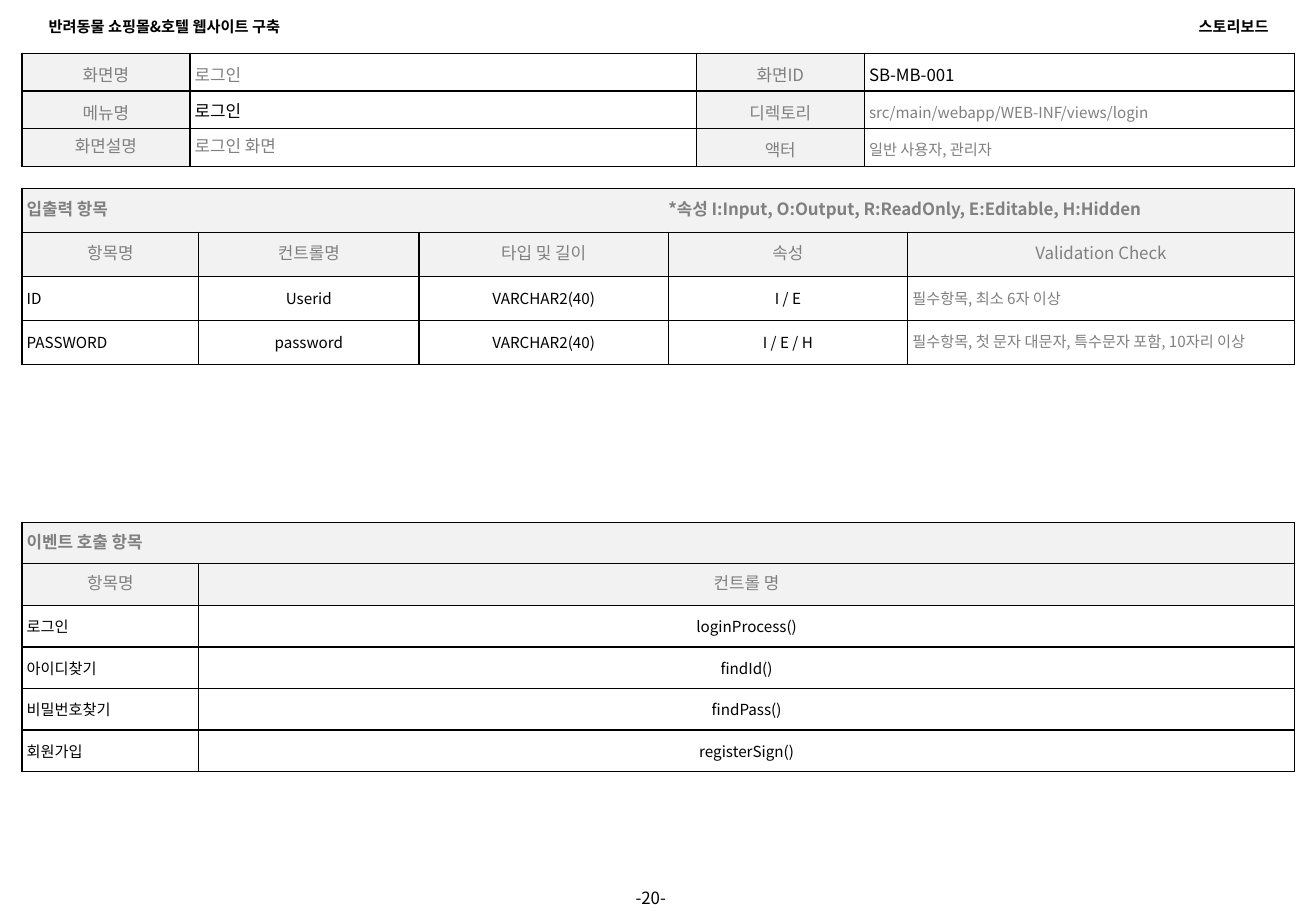
"""Build a storyboard slide for a login screen with its fields and events."""
from dataclasses import dataclass, replace
from typing import Optional, Union

from lxml import etree
from pptx import Presentation
from pptx import util as u
from pptx.dml.color import RGBColor
from pptx.enum import text
from pptx.oxml import ns

FONT = "Noto Sans CJK KR"
BLACK, GREY, PALE, WHITE = "000000", "808080", "F2F2F2", "FFFFFF"
LEFT, CENTER, RIGHT = text.PP_ALIGN.LEFT, text.PP_ALIGN.CENTER, text.PP_ALIGN.RIGHT
INSET = u.Inches(0.04)
ATTRIBUTE_TAB = u.Inches(5.28)

presentation = Presentation()
presentation.slide_width, presentation.slide_height = u.Inches(10.83), u.Inches(7.5)


@dataclass(frozen=True)
class Style:
    """Describe how one piece of text and its cell look."""
    size: float = 9
    color: str = BLACK
    bold: bool = False
    align: text.PP_ALIGN = LEFT
    fill: str = WHITE
    line_spacing: Union[float, u.Length, None] = None
    padding: Optional[float] = None


@dataclass(frozen=True)
class Cell:
    """Pair a wording with its style."""
    wording: str
    style: Style


@dataclass(frozen=True)
class Grid:
    """Describe a table by its top and row height (shares of the slide) and column shares."""
    top: float
    row_height: float
    columns: tuple[float, ...]
    rows: list[list[Cell]]


@dataclass(frozen=True)
class Label:
    """Describe a free text by its box in shares of the slide."""
    wording: str
    style: Style
    box: tuple[float, float, float, float]
    inset: float


def across(share: float) -> u.Length:
    """Return a share of the slide width."""
    return u.Emu(round(presentation.slide_width * share))


def down(share: float) -> u.Length:
    """Return a share of the slide height."""
    return u.Emu(round(presentation.slide_height * share))


def paint(color_format, color: str) -> None:
    """Apply a hex colour."""
    color_format.rgb = RGBColor.from_string(color)


def write(paragraph, wording: str, style: Style) -> None:
    """Add one styled run to a paragraph."""
    paragraph.alignment = style.align
    paragraph.line_spacing = style.line_spacing
    if style.padding is not None:
        paragraph.space_before = paragraph.space_after = u.Pt(style.padding)
    run = paragraph.add_run()
    run.text = wording
    run.font.size, run.font.bold, run.font.name = u.Pt(style.size), style.bold, FONT
    paint(run.font.color, style.color)
    etree.SubElement(run.font._element, ns.qn("a:ea"), typeface=FONT)


def add_tab(paragraph, position: u.Length) -> None:
    """Give a paragraph one left tab stop."""
    tabs = etree.SubElement(paragraph._p.get_or_add_pPr(), ns.qn("a:tabLst"))
    etree.SubElement(tabs, ns.qn("a:tab"), pos=str(position), algn="l")


def outline(cell) -> None:
    """Draw a black border on the four sides of a cell."""
    properties = cell._tc.get_or_add_tcPr()
    for index, side in enumerate(("lnL", "lnR", "lnT", "lnB")):
        line = etree.Element(ns.qn(f"a:{side}"), w=str(u.Pt(1)))
        fill = etree.SubElement(line, ns.qn("a:solidFill"))
        etree.SubElement(fill, ns.qn("a:srgbClr"), val=BLACK)
        properties.insert(index, line)


def draw_grid(slide, grid: Grid) -> None:
    """Draw a table, merging every row that holds a single cell."""
    count, width = len(grid.rows), across(0.967)
    table = slide.shapes.add_table(
        count, len(grid.columns), across(0.0166), down(grid.top),
        width, down(grid.row_height * count)).table
    table.first_row = table.horz_banding = False
    for column, share in zip(table.columns, grid.columns):
        column.width = u.Emu(round(width * share / sum(grid.columns)))
    for row_index, row in enumerate(grid.rows):
        table.rows[row_index].height = down(grid.row_height)
        if len(row) == 1:
            table.cell(row_index, 0).merge(table.cell(row_index, len(grid.columns) - 1))
        for column_index in range(len(grid.columns)):
            cell = table.cell(row_index, column_index)
            content = row[min(column_index, len(row) - 1)]
            cell.fill.solid()
            paint(cell.fill.fore_color, content.style.fill)
            outline(cell)
            if cell.is_spanned:
                continue
            cell.margin_left = cell.margin_right = INSET
            cell.margin_top = cell.margin_bottom = INSET
            cell.vertical_anchor = text.MSO_ANCHOR.MIDDLE
            paragraph = cell.text_frame.paragraphs[0]
            write(paragraph, content.wording, content.style)
            if "\t" in content.wording:
                add_tab(paragraph, ATTRIBUTE_TAB)


def draw_label(shape, label: Label) -> None:
    """Place a text shape and write its label."""
    left, top, width, height = label.box
    shape.left, shape.top = across(left), down(top)
    shape.width, shape.height = across(width), down(height)
    frame = shape.text_frame
    frame.word_wrap, frame.auto_size = True, text.MSO_AUTO_SIZE.NONE
    frame.vertical_anchor = text.MSO_ANCHOR.MIDDLE
    frame.margin_left = frame.margin_right = u.Inches(label.inset)
    frame.margin_top = frame.margin_bottom = INSET
    write(frame.paragraphs[0], label.wording, label.style)


value = Style()
centered = replace(value, align=CENTER)
rule = replace(value, color=GREY, line_spacing=u.Pt(12))
heading = replace(rule, size=10, bold=True, fill=PALE)
header = replace(heading, bold=False, align=CENTER)
info_name = replace(header, line_spacing=1.15, padding=3)
info_text = replace(info_name, align=LEFT, fill=WHITE)
info_small = replace(info_text, size=9)

info = Grid(0.0587, 0.0338, (13.2, 39.8, 13.2, 33.8), [
    [Cell("화면명", info_name), Cell("로그인", info_text),
     Cell("화면ID", info_name), Cell("SB-MB-001", replace(info_text, color=BLACK))],
    [Cell("메뉴명", info_name), Cell("로그인", replace(value, size=10)),
     Cell("디렉토리", info_name), Cell("src/main/webapp/WEB-INF/views/login", info_small)],
    [Cell("화면설명", header), Cell("로그인 화면", replace(rule, size=10)),
     Cell("액터", info_name), Cell("일반 사용자, 관리자", info_small)],
])
field_names = ("항목명", "컨트롤명", "타입 및 길이", "속성", "Validation Check")
field_styles = (value, centered, centered, centered, rule)
field_values = (
    ("ID", "Userid", "VARCHAR2(40)", "I / E", "필수항목, 최소 6자 이상"),
    ("PASSWORD", "password", "VARCHAR2(40)", "I / E / H",
     "필수항목, 첫 문자 대문자, 특수문자 포함, 10자리 이상"),
)
fields = Grid(0.2067, 0.0483, (13.9, 17.3, 19.6, 18.8, 30.4), [
    [Cell("입출력 항목\t*속성 I:Input, O:Output, R:ReadOnly, E:Editable, H:Hidden", heading)],
    [Cell(name, header) for name in field_names],
    *[[Cell(*pair) for pair in zip(row, field_styles)] for row in field_values],
])
calls = {"로그인": "loginProcess()", "아이디찾기": "findId()",
         "비밀번호찾기": "findPass()", "회원가입": "registerSign()"}
events = Grid(0.5733, 0.0456, (13.9, 86.1), [
    [Cell("이벤트 호출 항목", heading)],
    [Cell("항목명", header), Cell("컨트롤 명", header)],
    *[[Cell(name, value), Cell(call, centered)] for name, call in calls.items()],
])

bold = replace(value, bold=True)
project = Label("반려동물 쇼핑몰&호텔 웹사이트 구축", bold, (0.0277, 0.012, 0.276, 0.0333), 0.1)
labels = (
    Label("스토리보드", replace(bold, align=RIGHT), (0.697, 0.012, 0.276, 0.0333), 0.1),
    Label("-20-", replace(centered, size=10), (0.458, 0.9747, 0.073, 0.0213), 0.04),
)

slide = presentation.slides.add_slide(presentation.slide_layouts[5])
draw_label(slide.shapes.title, project)
for label in labels:
    draw_label(slide.shapes.add_textbox(0, 0, 0, 0), label)
for grid in (fields, events, info):
    draw_grid(slide, grid)
presentation.save("out.pptx")
